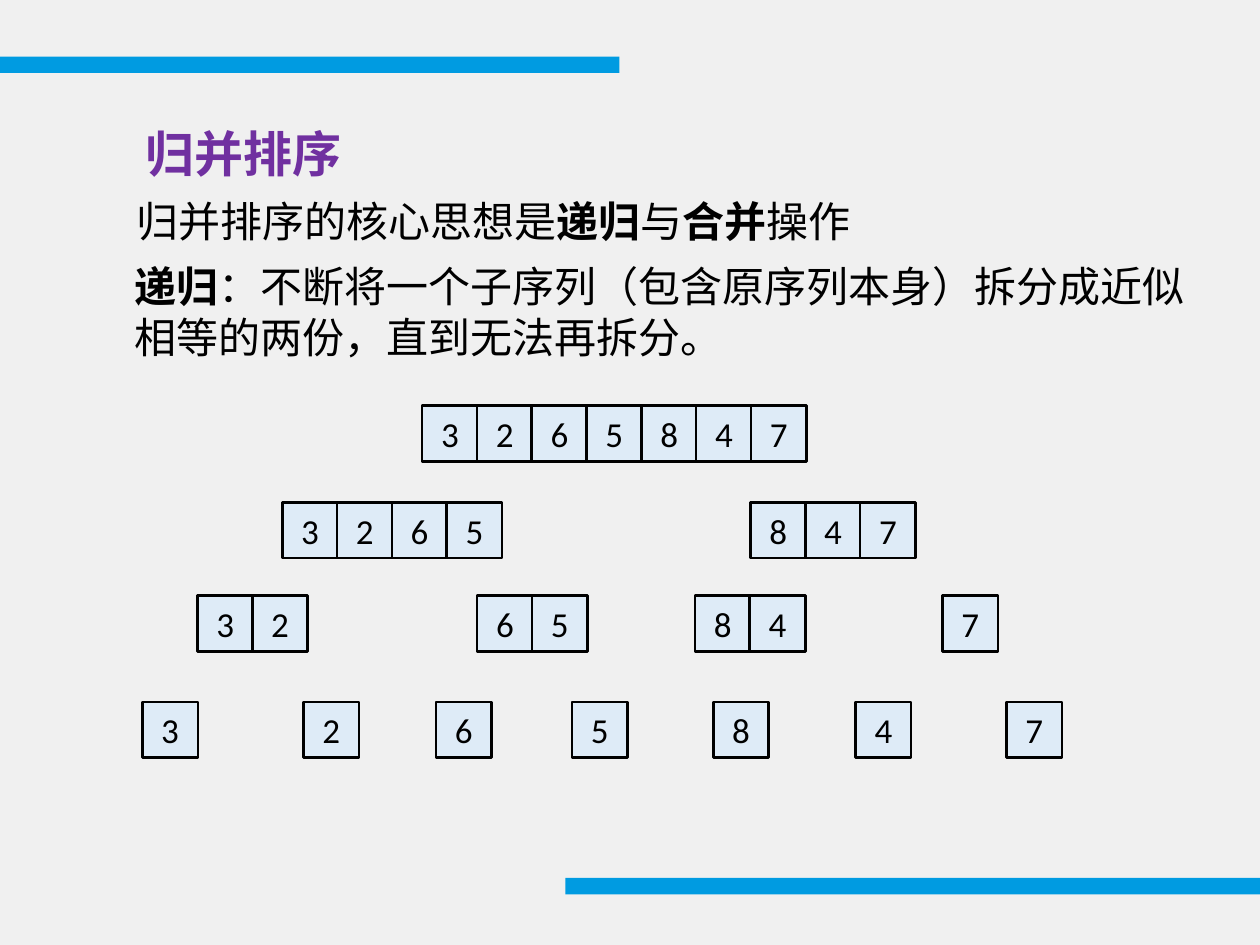
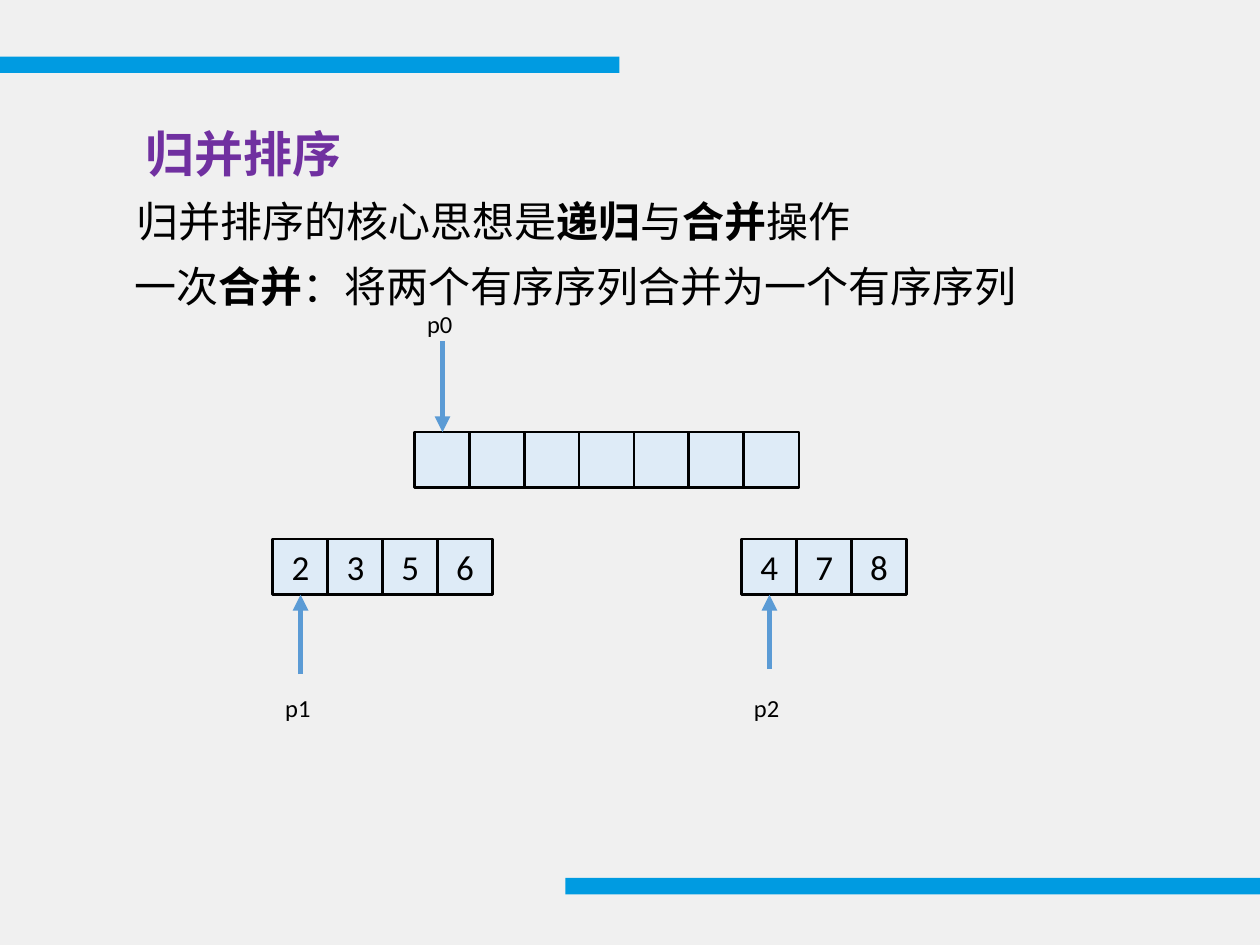
from dataclasses import dataclass
from typing import NamedTuple

from lxml.etree import SubElement
from pptx import Presentation
from pptx.dml.color import RGBColor as Color
from pptx.enum.shapes import MSO_CONNECTOR as Connector, MSO_SHAPE as Preset
from pptx.enum.text import MSO_ANCHOR as Anchor, MSO_AUTO_SIZE as AutoSize, PP_ALIGN as Align
from pptx.oxml.ns import qn
from pptx.presentation import Presentation as Deck
from pptx.shapes.autoshape import Shape
from pptx.slide import Slide
from pptx.text.text import TextFrame
from pptx.util import Cm, Pt


@dataclass(frozen=True)
class Theme:
    font: str = "Calibri"
    background: Color = Color(0xF0, 0xF0, 0xF0)
    band: Color = Color(0x00, 0x9B, 0xE1)
    title: Color = Color(0x70, 0x30, 0xA0)
    ink: Color = Color(0, 0, 0)
    cell: Color = Color(0xDE, 0xEB, 0xF7)
    arrow: Color = Color(0x5B, 0x9B, 0xD5)
    title_size: int = 28
    body_size: int = 24
    cell_size: int = 20
    label_size: int = 14
    cell_line: float = 1.5
    arrow_line: float = 3


class Span(NamedTuple):
    text: str
    bold: bool = False


class Sequence(NamedTuple):
    left: float
    top: float
    values: list[str]


class Pointer(NamedTuple):
    name: str
    cell: Shape
    side: int
    start: float
    label_top: float


THEME = Theme()
CELL_SIDE = 1.12
CELL_STEP = 1.105
TOP, BOTTOM = 0, 2
TITLE = "归并排序"
CORE_IDEA = [
    Span("归并排序的核心思想是"),
    Span("递归", True),
    Span("与"),
    Span("合并", True),
    Span("操作"),
]
RECURSION = [
    Span("递归", True),
    Span("：不断将一个子序列（包含原序列本身）拆分成近似相等的两份，直到无法再拆分。"),
]
MERGE = [
    Span("一次"),
    Span("合并", True),
    Span("：将两个有序序列合并为一个有序序列"),
]
SPLIT_STEPS = {
    8.18: [(8.51, "3265847")],
    10.13: [(5.69, "3265"), (15.13, "847")],
    12.01: [(3.98, "32"), (9.62, "65"), (14.01, "84"), (19, "7")],
    14.15: [
        (2.87, "3"),
        (6.12, "2"),
        (8.79, "6"),
        (11.53, "5"),
        (14.38, "8"),
        (17.25, "4"),
        (20.29, "7"),
    ],
}


def write(frame: TextFrame, spans: list[Span], size: int, color: Color = THEME.ink,
          align: Align = Align.LEFT) -> None:
    para = frame.paragraphs[0]
    para.alignment = align
    for span in spans:
        run = para.add_run()
        run.text = span.text
        run.font.name = THEME.font
        run.font.size = Pt(size)
        run.font.bold = span.bold
        run.font.color.rgb = color


def add_text(page: Slide, left: float, top: float, width: float, height: float,
             spans: list[Span], size: int = THEME.body_size) -> None:
    box = page.shapes.add_textbox(Cm(left), Cm(top), Cm(width), Cm(height))
    box.text_frame.word_wrap = True
    box.text_frame.auto_size = AutoSize.SHAPE_TO_FIT_TEXT
    write(box.text_frame, spans, size)


def add_rectangle(page: Slide, left: float, top: float, width: float, height: float,
                  fill: Color) -> Shape:
    box = page.shapes.add_shape(Preset.RECTANGLE, Cm(left), Cm(top), Cm(width), Cm(height))
    box.shadow.inherit = False
    box.fill.solid()
    box.fill.fore_color.rgb = fill
    box.line.fill.background()
    return box


def add_cell(page: Slide, left: float, top: float, value: str) -> Shape:
    cell = add_rectangle(page, left, top, CELL_SIDE, CELL_SIDE, THEME.cell)
    cell.line.color.rgb = THEME.ink
    cell.line.width = Pt(THEME.cell_line)
    if value:
        write(cell.text_frame, [Span(value)], THEME.cell_size, align=Align.CENTER)
    return cell


def add_sequence(page: Slide, sequence: Sequence) -> list[Shape]:
    return [
        add_cell(page, sequence.left + index * CELL_STEP, sequence.top, value)
        for index, value in enumerate(sequence.values)
    ]


def add_pointer(page: Slide, pointer: Pointer) -> None:
    cell = pointer.cell
    middle = cell.left + cell.width // 2
    end = cell.top if pointer.side == TOP else cell.top + cell.height
    arrow = page.shapes.add_connector(
        Connector.STRAIGHT, middle, Cm(pointer.start), middle, end)
    arrow.end_connect(cell, pointer.side)
    arrow.line.color.rgb = THEME.arrow
    arrow.line.width = Pt(THEME.arrow_line)
    SubElement(arrow.line._get_or_add_ln(), qn("a:tailEnd"), type="triangle")
    SubElement(arrow._element.spPr, qn("a:effectLst"))
    add_text(page, cell.left.cm, pointer.label_top, CELL_SIDE, 0.86,
             [Span(pointer.name)], THEME.label_size)


def add_page(deck: Deck, explanation: list[Span], explanation_height: float) -> Slide:
    page = deck.slides.add_slide(deck.slide_layouts.get_by_name("Title Only"))
    page.background.fill.solid()
    page.background.fill.fore_color.rgb = THEME.background
    for left, top in ((-1.78, 1.14), (11.4, 17.7)):
        add_rectangle(page, left, top, 14.27, 0.33, THEME.band)

    title = page.shapes.title
    title.left, title.top, title.width, title.height = Cm(2.46), Cm(2.36), Cm(4.7), Cm(1.45)
    frame = title.text_frame
    frame.word_wrap = False
    frame.auto_size = AutoSize.NONE
    frame.vertical_anchor = Anchor.TOP
    frame.margin_left = Cm(0.48)
    write(frame, [Span(TITLE, True)], THEME.title_size, THEME.title)

    add_text(page, 2.51, 3.81, 20.37, 1.27, CORE_IDEA)
    add_text(page, 2.46, 5.13, 22.05, explanation_height, explanation)
    return page


def add_recursion_page(deck: Deck) -> None:
    page = add_page(deck, RECURSION, 2.31)
    for top, parts in SPLIT_STEPS.items():
        for left, digits in parts:
            add_sequence(page, Sequence(left, top, list(digits)))


def add_merge_page(deck: Deck) -> None:
    page = add_page(deck, MERGE, 1.27)
    merged = add_sequence(page, Sequence(8.36, 8.71, [""] * 7))
    first = add_sequence(page, Sequence(5.5, 10.87, list("2356")))
    second = add_sequence(page, Sequence(14.95, 10.87, list("478")))
    for pointer in (
        Pointer("p0", merged[0], TOP, 6.88, 6.1),
        Pointer("p1", first[0], BOTTOM, 13.59, 13.84),
        Pointer("p2", second[0], BOTTOM, 13.49, 13.84),
    ):
        add_pointer(page, pointer)


def main() -> None:
    deck = Presentation()
    deck.slide_width, deck.slide_height = Cm(25.4), Cm(19.05)
    add_recursion_page(deck)
    add_merge_page(deck)
    deck.save("out.pptx")


if __name__ == "__main__":
    main()
